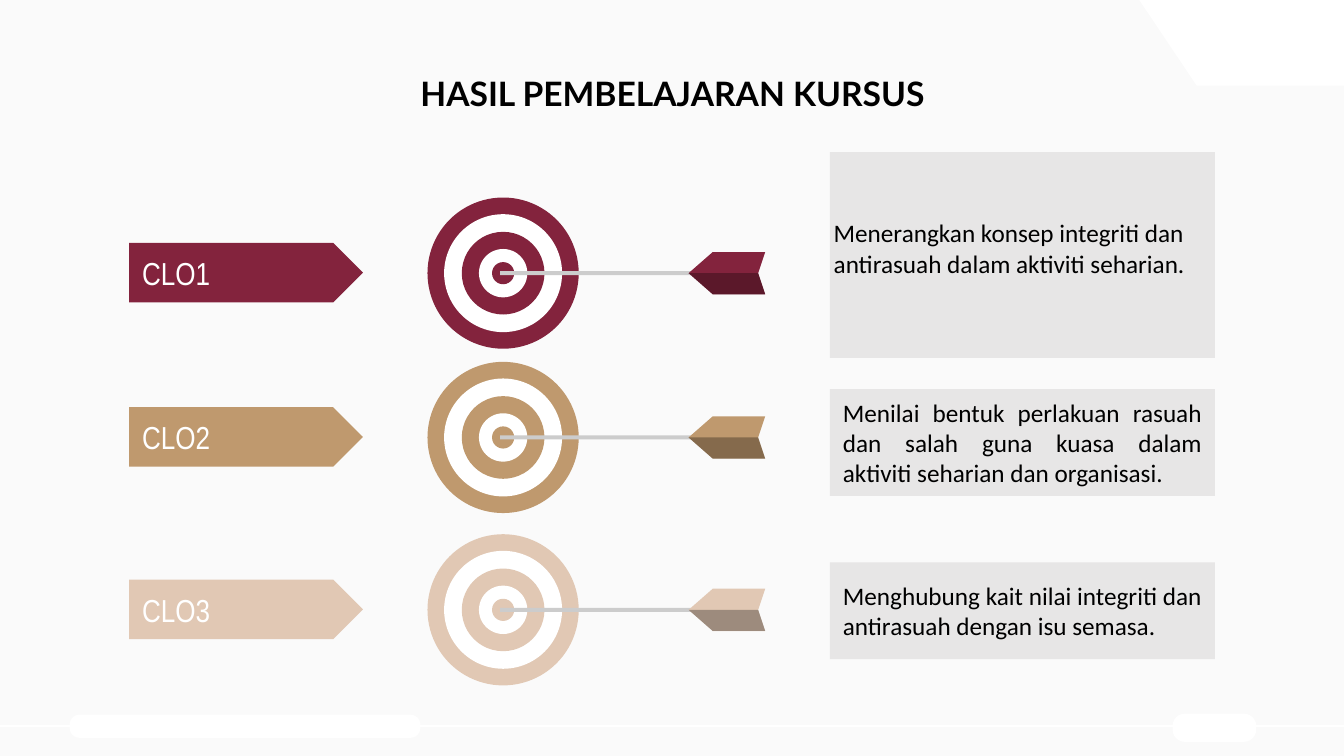
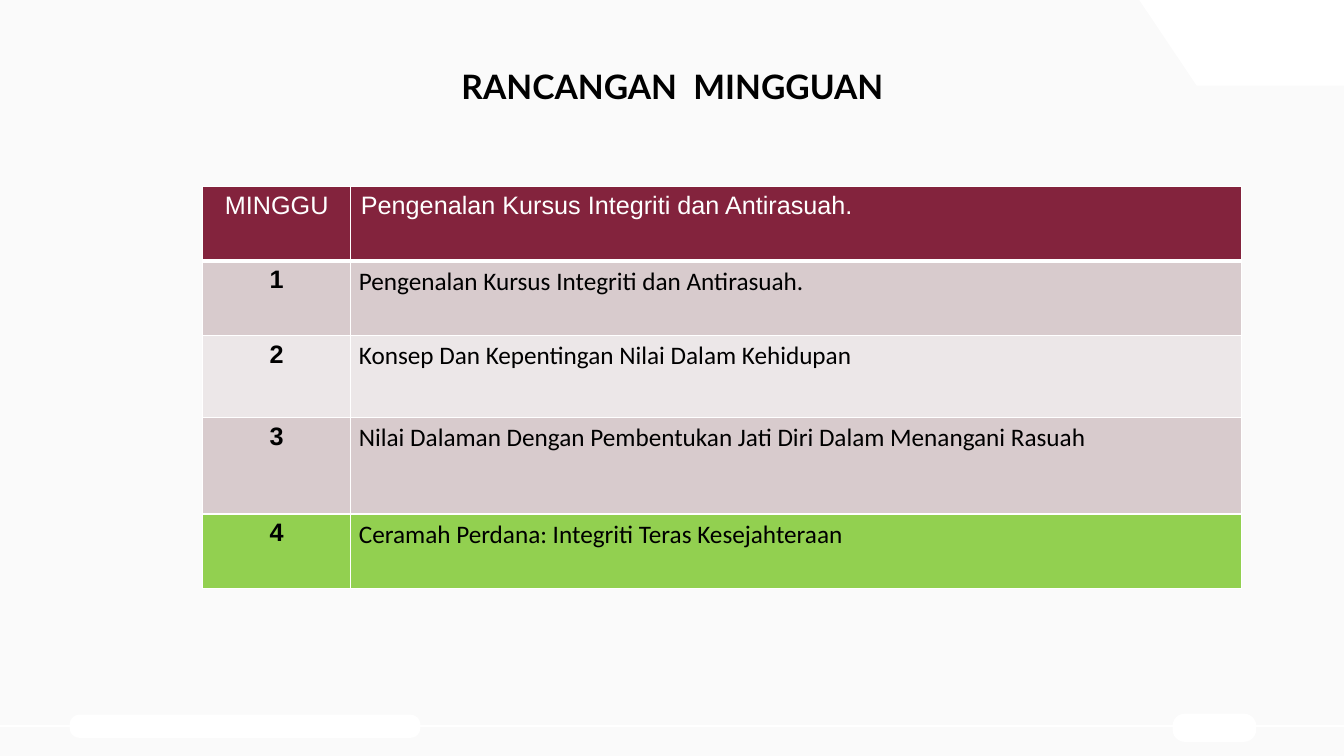
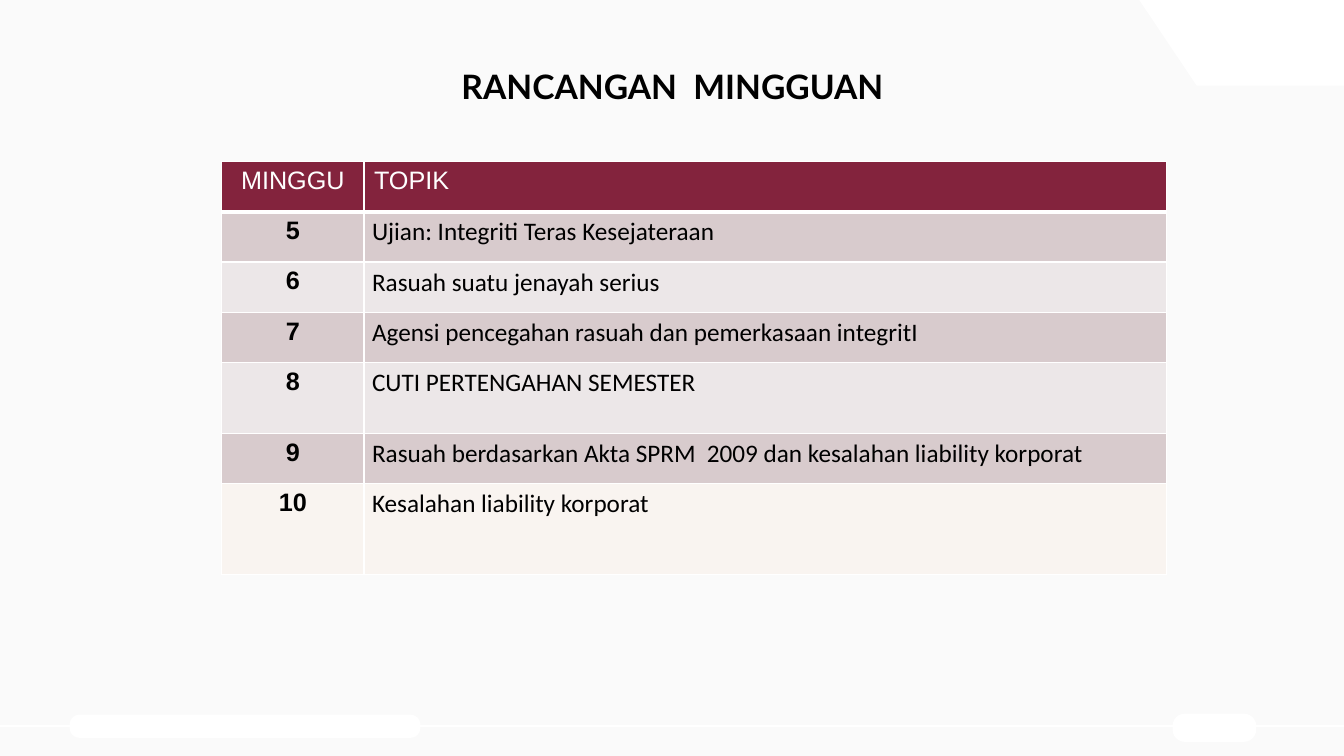
"""Build three course slides: learning outcomes and the weekly plan."""
from lxml import etree
from pptx import Presentation
from pptx import util as u
from pptx.dml.color import RGBColor
from pptx.enum import shapes, text
from pptx.oxml import ns

WINE, GOLD, SAND = "83233D", "BF996E", "E1C8B4"
WHITE, BLACK, PAPER = "FFFFFF", "000000", "FAFAFA"
CARD, SHAFT = "E7E6E6", "CCCCCC"
DARK, LIGHT, GREEN, CREAM = "D8CBCD", "ECE7E8", "92D050", "F9F4F0"
KIND = shapes.MSO_SHAPE
ALIGN = text.PP_ALIGN
ANCHOR = text.MSO_ANCHOR
RINGS = (1.5, 1.17, 0.82, 0.48, 0.22)
HUB = 4.99


def rgb(code):
    """Turn a hex string into a colour."""
    return RGBColor.from_string(code)


def node(parent, tag, **attrs):
    """Append a drawing element to its parent."""
    return etree.SubElement(parent, ns.qn(tag), attrs)


def paint(shape, fill):
    """Give a shape a flat fill with no line or shadow."""
    shape.shadow.inherit = False
    shape.fill.solid()
    shape.fill.fore_color.rgb = rgb(fill)
    shape.line.fill.background()
    return shape


def block(home, kind, left, top, width, height, fill):
    """Add a plain preset shape."""
    box = [u.Inches(v) for v in (left, top, width, height)]
    return paint(home.add_shape(kind, *box), fill)


def outline(home, points, fill):
    """Add a closed shape through the given points."""
    spots = [(u.Inches(x), u.Inches(y)) for x, y in points]
    pen = home.build_freeform(*spots[0], scale=1.0)
    pen.add_line_segments(spots[1:], close=True)
    return paint(pen.convert_to_shape(), fill)


def style(para, face, size, color, bold=False, align=ALIGN.LEFT):
    """Set the font and alignment of a paragraph."""
    para.alignment = align
    para.font.name = face
    para.font.size = u.Pt(size)
    para.font.bold = bold
    para.font.color.rgb = rgb(color)


def inset(frame, side, ends):
    """Set the inner margins of a text frame or cell."""
    frame.margin_left = frame.margin_right = u.Inches(side)
    frame.margin_top = frame.margin_bottom = u.Inches(ends)


def write(shape, words, face, size, color, align=ALIGN.LEFT, anchor=ANCHOR.MIDDLE,
          pad=(0.13, 0.13), bold=False):
    """Fill a shape with one paragraph."""
    frame = shape.text_frame
    frame.word_wrap = True
    frame.auto_size = text.MSO_AUTO_SIZE.NONE
    frame.vertical_anchor = anchor
    inset(frame, *pad)
    frame.text = words
    style(frame.paragraphs[0], face, size, color, bold, align)


def dress(layout, slide):
    """Put the background, corner and footer bands on the layout."""
    layout.background.fill.solid()
    layout.background.fill.fore_color.rgb = rgb(PAPER)
    home = slide.shapes
    rule = home.add_connector(shapes.MSO_CONNECTOR.STRAIGHT, 0, u.Inches(7.2),
                              u.Inches(13.33), u.Inches(7.2))
    rule.line.color.rgb = rgb(WHITE)
    rule.line.width = u.Pt(1.5)
    node(rule._element.spPr, "a:effectLst")
    parts = [rule]
    for box in ((0.69, 7.09, 3.48, 0.23), (11.63, 7.08, 0.83, 0.28)):
        pill = block(home, KIND.ROUNDED_RECTANGLE, *box, WHITE)
        pill.adjustments[0] = 0.44
        parts.append(pill)
    corner = [(11.3, 0), (13.33, 0), (13.33, 0.85), (11.87, 0.85)]
    parts.append(outline(home, corner, WHITE))
    for part in parts:
        layout.shapes._spTree.append(part._element)


def head(slide, words, anchor, pad):
    """Place and format the slide title."""
    title = slide.shapes.title
    title.left, title.top = u.Inches(0.67), u.Inches(0.6)
    title.width, title.height = u.Inches(12), u.Inches(0.7)
    write(title, words, "Lato", 24, BLACK, ALIGN.CENTER, anchor, (pad, pad), True)
    title.text_frame.paragraphs[0].line_spacing = 0.9


def target(home, mid, color):
    """Draw a ringed target hit by an arrow."""
    for i, size in enumerate(RINGS):
        block(home, KIND.OVAL, HUB - size / 2, mid - size / 2, size, size,
              WHITE if i % 2 else color)
    block(home, KIND.RECTANGLE, 4.96, mid - 0.02, 1.96, 0.04, SHAFT)
    lower = [(6.83, mid), (7.07, mid + 0.21), (7.59, mid + 0.21), (7.52, mid)]
    upper = [(7.59, mid - 0.21), (7.07, mid - 0.21)]
    outline(home, lower + upper, color)
    shade = outline(home, lower, BLACK)
    tint = shade._element.spPr.find(".//" + ns.qn("a:srgbClr"))
    node(tint, "a:alpha", val="30000")


def goal(slide, label, mid, color, top, height, words):
    """Draw one outcome: tag, target and card."""
    home = slide.shapes.add_group_shape().shapes
    target(home, mid, color)
    tag = block(home, KIND.PENTAGON, 1.28, mid - 0.3, 2.32, 0.59, color)
    write(tag, label, "Arial Narrow", 22.7, WHITE)
    card = block(home, KIND.RECTANGLE, 8.23, top, 3.82, height, CARD)
    if words:
        write(card, words, "Calibri", 18, BLACK, ALIGN.JUSTIFY)


def edge(cell, top, base):
    """Draw white borders round a cell."""
    props = cell._tc.get_or_add_tcPr()
    for side, width in zip("LRTB", (1, 1, top, base)):
        line = node(props, "a:ln" + side, w=str(u.Pt(width)))
        node(node(line, "a:solidFill"), "a:srgbClr", val=WHITE)


def plan(slide, left, top, cols, rows):
    """Add a weekly table of (height, fill, week, topic) rows."""
    size = sum(cols), sum(row[0] for row in rows)
    box = [u.Inches(v) for v in (left, top, *size)]
    grid = slide.shapes.add_table(len(rows), len(cols), *box).table
    grid.first_row = grid.horz_banding = False
    for col, width in zip(grid.columns, cols):
        col.width = u.Inches(width)
    for i, (height, fill, *words) in enumerate(rows):
        grid.rows[i].height = u.Inches(height)
        for j, word in enumerate(words):
            cell = grid.cell(i, j)
            edge(cell, 3 if i == 1 else 1, 3 if i == 0 else 1)
            cell.fill.solid()
            cell.fill.fore_color.rgb = rgb(fill)
            inset(cell, 0.08 if i and j else 0.1, 0.05)
            cell.text = word
            style(cell.text_frame.paragraphs[0], "Calibri" if i and j else "Arial", 18,
                  BLACK if i else WHITE, i > 0 and j == 0,
                  ALIGN.LEFT if j else ALIGN.CENTER)


def main():
    """Build and save the deck."""
    deck = Presentation()
    deck.slide_width, deck.slide_height = u.Inches(13.33), u.Inches(7.5)
    layout = deck.slide_layouts[5]
    aims, early, late = [deck.slides.add_slide(layout) for _ in range(3)]
    dress(layout, aims)

    head(aims, "HASIL PEMBELAJARAN KURSUS", ANCHOR.MIDDLE, 0.13)
    goal(aims, "CLO1", 2.71, WINE, 1.51, 2.04, "")
    goal(aims, "CLO2", 4.34, GOLD, 3.86, 1.06,
         "Menilai bentuk perlakuan rasuah dan salah guna kuasa dalam "
         "aktiviti seharian dan organisasi.")
    goal(aims, "CLO3", 6.05, SAND, 5.58, 0.96,
         "Menghubung kait nilai integriti dan antirasuah dengan isu semasa.")
    note = aims.shapes.add_textbox(*[u.Inches(v) for v in (8.17, 2.11, 3.82, 0.71)])
    write(note, "Menerangkan konsep integriti dan antirasuah dalam aktiviti seharian.",
          "Calibri", 18, BLACK, anchor=ANCHOR.TOP, pad=(0.1, 0.05))

    for slide in (early, late):
        head(slide, "RANCANGAN  MINGGUAN", ANCHOR.TOP, 0.1)
    plan(early, 2.01, 1.85, (1.47, 8.83), [
        (0.74, WINE, "MINGGU", "Pengenalan Kursus Integriti dan Antirasuah."),
        (0.74, DARK, "1", "Pengenalan Kursus Integriti dan Antirasuah."),
        (0.81, LIGHT, "2", "Konsep Dan Kepentingan Nilai Dalam Kehidupan"),
        (0.96, DARK, "3",
         "Nilai Dalaman Dengan Pembentukan Jati Diri Dalam Menangani Rasuah"),
        (0.74, GREEN, "4", "Ceramah Perdana: Integriti Teras Kesejahteraan"),
    ])
    plan(late, 2.2, 1.6, (1.41, 7.96), [
        (0.5, WINE, "MINGGU", "TOPIK"),
        (0.5, DARK, "5", "Ujian: Integriti Teras Kesejateraan"),
        (0.5, LIGHT, "6", "Rasuah suatu jenayah serius"),
        (0.5, DARK, "7", "Agensi pencegahan rasuah dan pemerkasaan integritI"),
        (0.7, LIGHT, "8", "CUTI PERTENGAHAN SEMESTER"),
        (0.5, DARK, "9",
         "Rasuah berdasarkan Akta SPRM  2009 dan kesalahan liability korporat"),
        (0.9, CREAM, "10", "Kesalahan liability korporat"),
    ])
    deck.save("out.pptx")


if __name__ == "__main__":
    main()
